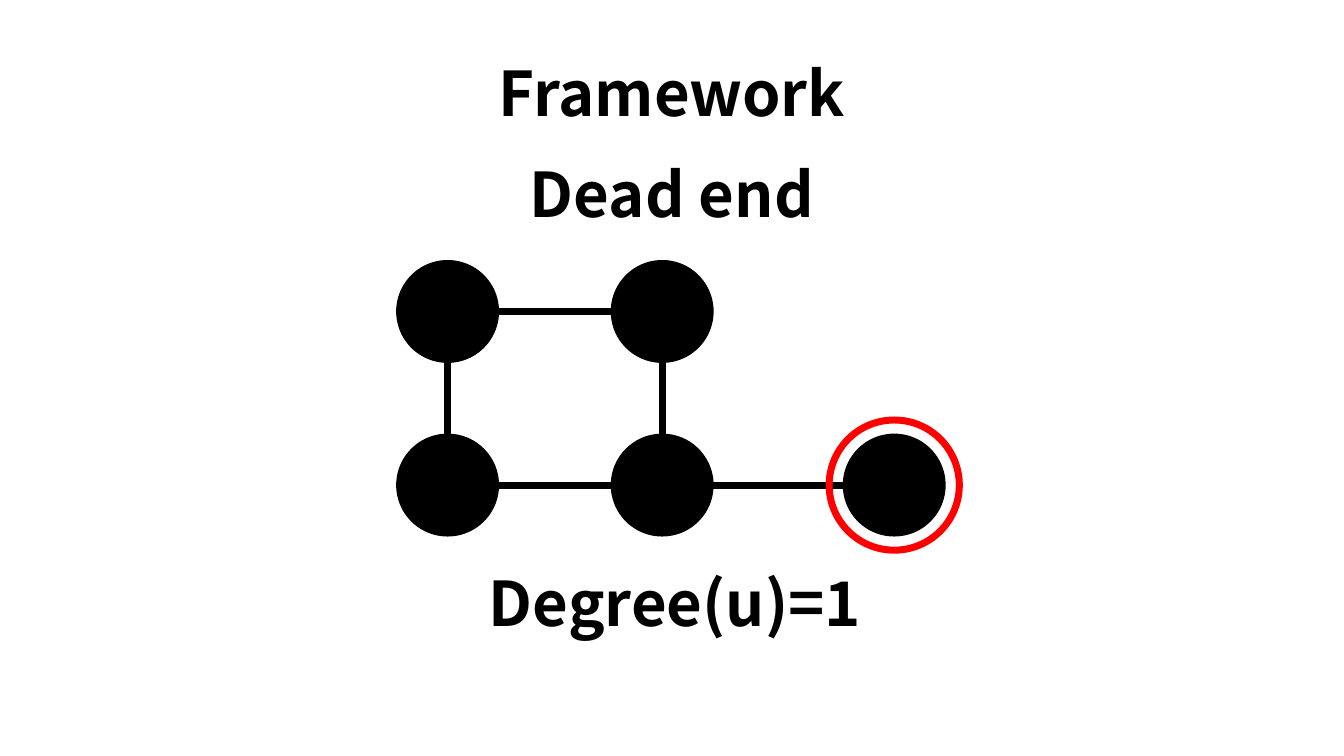
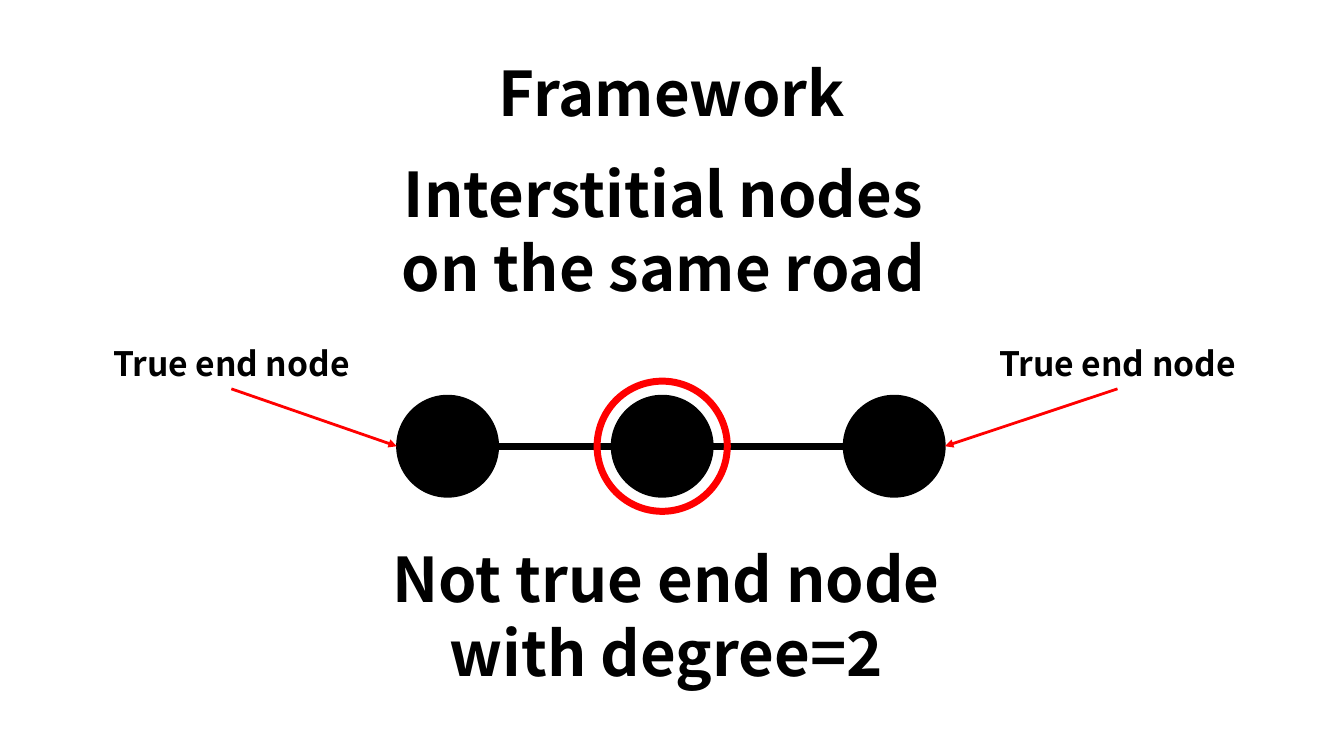
from dataclasses import dataclass

from lxml import etree
from pptx import Presentation
from pptx.dml.color import RGBColor
from pptx.enum.shapes import MSO_CONNECTOR, MSO_SHAPE
from pptx.enum.text import MSO_AUTO_SIZE, PP_ALIGN
from pptx.oxml.ns import qn
from pptx.util import Pt


@dataclass(frozen=True)
class Theme:
    font: str = "Noto Sans CJK KR"
    ink: RGBColor = RGBColor(0, 0, 0)
    accent: RGBColor = RGBColor(255, 0, 0)
    heading: int = 44
    label: int = 24
    outline: int = 1
    edge: int = 5
    arrow: int = 2


THEME = Theme()
NODE = 72.5                   # node diameter
RING_GAP = 10.25              # from a node to the ring around it
COLUMNS = (0, 153.25, 319)    # node offsets from the graph's left side
GRAPH_LEFT = 283.5


def add_text(s, text, box, size=THEME.heading):
    tf = s.shapes.add_textbox(*map(Pt, box)).text_frame
    tf.word_wrap = True
    tf.auto_size = MSO_AUTO_SIZE.SHAPE_TO_FIT_TEXT
    tf.text = text
    p = tf.paragraphs[0]
    p.alignment = PP_ALIGN.CENTER
    font = p.runs[0].font
    font.name, font.size, font.bold = THEME.font, Pt(size), True
    font.color.rgb = THEME.ink


def add_circle(shapes, left, top, size, color, width, filled=True):
    sp = shapes.add_shape(MSO_SHAPE.OVAL, Pt(left), Pt(top), Pt(size), Pt(size))
    sp.shadow.inherit = False
    if filled:
        sp.fill.solid()
        sp.fill.fore_color.rgb = color
    else:
        sp.fill.background()
    sp.line.color.rgb = color
    sp.line.width = Pt(width)


def add_line(shapes, start, end, color, width, arrow=False):
    cxn = shapes.add_connector(MSO_CONNECTOR.STRAIGHT, *map(Pt, (*start, *end)))
    cxn.line.color.rgb = color
    cxn.line.width = Pt(width)
    sp_pr = cxn._element.spPr
    if arrow:
        etree.SubElement(sp_pr.find(qn("a:ln")), qn("a:tailEnd"), type="triangle")
    etree.SubElement(sp_pr, qn("a:effectLst"))


def add_graph(s, left, top, row_gap, nodes, edges, ringed):
    """Draw nodes given as (column, row); edges run right or down between them."""
    shapes = s.shapes.add_group_shape().shapes

    def corner(node):
        col, row = node
        return left + COLUMNS[col], top + row * row_gap

    for node in nodes:
        add_circle(shapes, *corner(node), NODE, THEME.ink, THEME.outline)
    for a, b in edges:
        (ax, ay), (bx, by) = corner(a), corner(b)
        if a[1] == b[1]:
            start, end = (ax + NODE, ay + NODE / 2), (bx, by + NODE / 2)
        else:
            start, end = (ax + NODE / 2, ay + NODE), (bx + NODE / 2, by)
        add_line(shapes, start, end, THEME.ink, THEME.edge)
    # Ring around the node under discussion
    x, y = corner(ringed)
    add_circle(shapes, x - RING_GAP, y - RING_GAP, NODE + 2 * RING_GAP,
               THEME.accent, THEME.edge, filled=False)


def add_callout(s, text, box, target):
    """Label with an arrow from its bottom centre to the target."""
    left, top, width, height = box
    add_text(s, text, box, THEME.label)
    add_line(s.shapes, (left + width / 2, top + height), target,
             THEME.accent, THEME.arrow, arrow=True)


def new_slide(prs):
    s = prs.slides.add_slide(prs.slide_layouts[6])
    add_text(s, "Framework", (226, 36, 508, 60.5))
    return s


def dead_end_slide(prs):
    s = new_slide(prs)
    add_text(s, "Dead end", (286.5, 108, 387, 60.5))
    nodes = [(0, 0), (1, 0), (0, 1), (1, 1), (2, 1)]
    edges = [((0, 0), (1, 0)), ((0, 1), (1, 1)), ((0, 0), (0, 1)),
             ((1, 0), (1, 1)), ((1, 1), (2, 1))]
    add_graph(s, GRAPH_LEFT, 186.25, 124, nodes, edges, ringed=(2, 1))
    add_text(s, "Degree(u)=1", (288.75, 399.75, 387, 60.5))


def interstitial_slide(prs):
    s = new_slide(prs)
    add_text(s, "Interstitial nodes on the same road", (277, 108, 394, 114))
    top = 282.5
    nodes = [(col, 0) for col in range(3)]
    add_graph(s, GRAPH_LEFT, top, 0, nodes, list(zip(nodes, nodes[1:])),
              ringed=(1, 0))
    # Labels pointing at the outer sides of the two end nodes
    graph_right = GRAPH_LEFT + COLUMNS[-1] + NODE
    for left, target_x in ((70.5, GRAPH_LEFT), (703.5, graph_right)):
        add_callout(s, "True end node", (left, 241.25, 189.5, 36.5),
                    (target_x, top + NODE / 2))
    add_text(s, "Not true end node with degree=2", (258.5, 383, 435, 114))


def main():
    prs = Presentation()
    prs.slide_width, prs.slide_height = Pt(960), Pt(540)
    dead_end_slide(prs)
    interstitial_slide(prs)
    prs.save("out.pptx")


if __name__ == "__main__":
    main()
